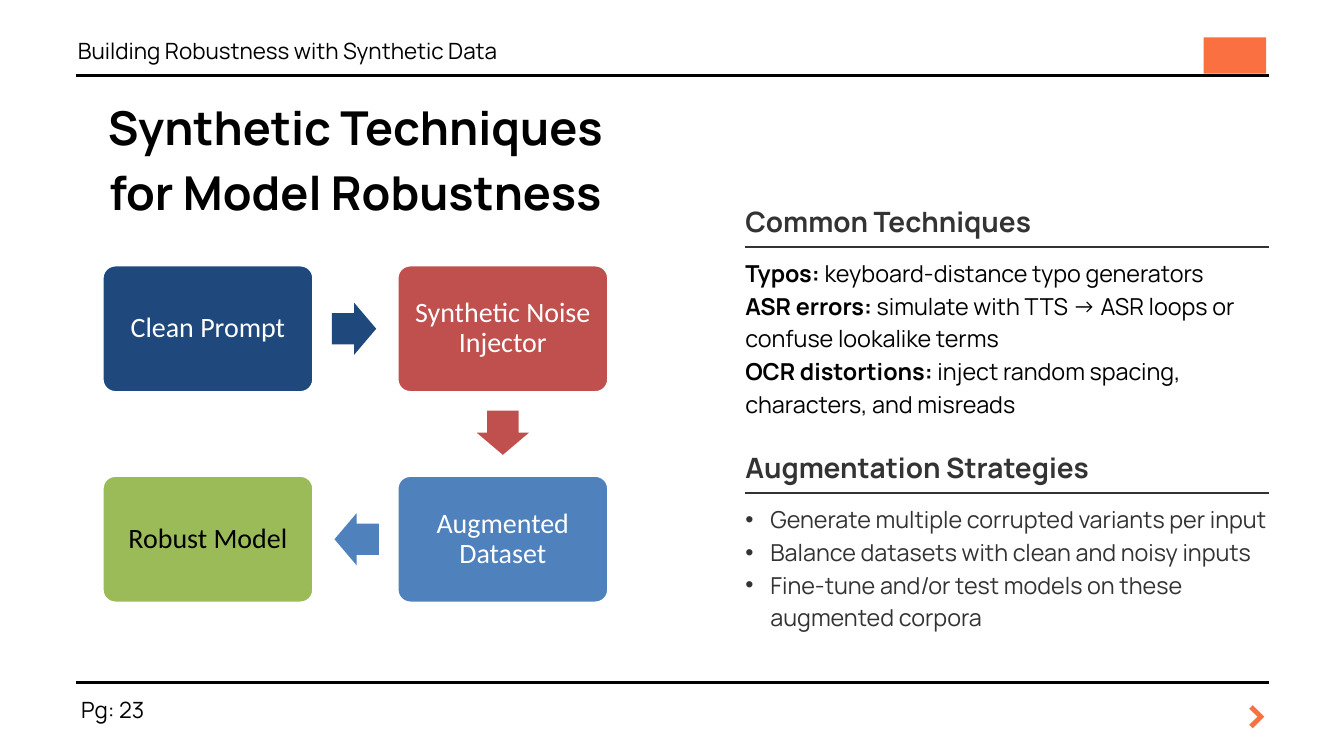
from lxml import etree
from pptx import Presentation
from pptx.dml.color import RGBColor
from pptx.enum.shapes import MSO_CONNECTOR, MSO_SHAPE
from pptx.enum.text import MSO_ANCHOR, MSO_AUTO_SIZE, PP_ALIGN
from pptx.oxml.ns import qn
from pptx.util import Pt

LEFT, CENTER, JUSTIFY = PP_ALIGN.LEFT, PP_ALIGN.CENTER, PP_ALIGN.JUSTIFY
TOP, MIDDLE = MSO_ANCHOR.TOP, MSO_ANCHOR.MIDDLE
NO_AUTOFIT = MSO_AUTO_SIZE.NONE
STRAIGHT = MSO_CONNECTOR.STRAIGHT
RECTANGLE = MSO_SHAPE.RECTANGLE
ROUNDED = MSO_SHAPE.ROUNDED_RECTANGLE
ARROW = MSO_SHAPE.RIGHT_ARROW

BLACK, WHITE, CHARCOAL, ORANGE = "000000", "FFFFFF", "333333", "FA7040"
NAVY, RED, BLUE, GREEN = "1F497D", "C0504D", "4F81BD", "9BBB59"
COMPARISON_LAYOUT = 4

TECHNIQUES = [
    [("Typos:", True), (" keyboard-distance typo generators", False)],
    [("ASR errors:", True),
     (" simulate with TTS → ASR loops or confuse lookalike terms", False)],
    [("OCR distortions:", True),
     (" inject random spacing, characters, and misreads", False)],
]
STRATEGIES = [
    "Generate multiple corrupted variants per input",
    "Balance datasets with clean and noisy inputs",
    "Fine-tune and/or test models on these augmented corpora",
]
# Label, column, row, fill, text colour, in order of flow
STEPS = [
    ("Clean Prompt", 0, 0, NAVY, WHITE),
    ("Synthetic Noise Injector", 1, 0, RED, WHITE),
    ("Augmented Dataset", 1, 1, BLUE, WHITE),
    ("Robust Model", 0, 1, GREEN, BLACK),
]


def rgb(value):
    return RGBColor.from_string(value)


def place(shape, left, top, width, height):
    shape.left, shape.top = Pt(left), Pt(top)
    shape.width, shape.height = Pt(width), Pt(height)


def set_bullet(paragraph, bullet, indent):
    props = paragraph._p.get_or_add_pPr()
    props.set("marL", str(Pt(indent)))
    props.set("indent", str(-Pt(indent)))
    if bullet:
        etree.SubElement(props, qn("a:buChar")).set("char", bullet)
    else:
        etree.SubElement(props, qn("a:buNone"))


def write_text(shape, paragraphs, size, spacing, color=BLACK, bold=False,
               font="Manrope", align=LEFT, anchor=TOP, inset=0, bullet=None,
               indent=0):
    """Fill a shape; each paragraph is a string or a list of (text, bold) runs."""
    frame = shape.text_frame
    frame.word_wrap = True
    frame.auto_size = NO_AUTOFIT
    frame.vertical_anchor = anchor
    frame.margin_left = frame.margin_right = Pt(inset)
    frame.margin_top = frame.margin_bottom = Pt(inset)
    for number, content in enumerate(paragraphs):
        paragraph = frame.add_paragraph() if number else frame.paragraphs[0]
        paragraph.alignment = align
        paragraph.line_spacing = spacing
        paragraph.space_before = paragraph.space_after = Pt(0)
        set_bullet(paragraph, bullet, indent)
        runs = [(content, bold)] if isinstance(content, str) else content
        for text, is_bold in runs:
            run = paragraph.add_run()
            run.text = text
            run.font.name = font
            run.font.size = Pt(size)
            run.font.bold = is_bold
            run.font.color.rgb = rgb(color)


def add_label(slide, box, text, **style):
    label = slide.shapes.add_textbox(*map(Pt, box))
    write_text(label, [text], **style)


def add_rule(slide, left, top, width, color, weight):
    rule = slide.shapes.add_connector(
        STRAIGHT, Pt(left), Pt(top), Pt(left + width), Pt(top))
    rule.line.color.rgb = rgb(color)
    rule.line.width = Pt(weight)
    etree.SubElement(rule._element.spPr, qn("a:effectLst"))


def add_solid(slide, preset, box, fill):
    solid = slide.shapes.add_shape(preset, *map(Pt, box))
    solid.shadow.inherit = False
    solid.fill.solid()
    solid.fill.fore_color.rgb = rgb(fill)
    solid.line.fill.background()
    return solid


def add_header(slide, left, top, width):
    add_label(slide, (left + 2.5, top, 1203, 32), "Building Robustness with Synthetic Data",
              size=24, spacing=Pt(33.6))
    add_solid(slide, RECTANGLE, (left + width - 70, top + 5, 67, 39), ORANGE)
    add_rule(slide, left, top + 46, width, BLACK, 3)


def add_footer(slide, left, top, width):
    add_rule(slide, left, top, width, BLACK, 3)
    add_label(slide, (left + 6, top + 9.5, 82, 32), "Pg: 23", size=24, spacing=Pt(33.6))
    add_label(slide, (left + width - 30.5, top - 8.5, 30, 71), ">", size=52,
              spacing=Pt(72.8), color="F97141", bold=True, align=CENTER)


def fill_section(slide, heading, body, title, items, left, top, width, height, **style):
    """Heading placeholder, rule and list placeholder, stacked."""
    place(heading, left, top, width, 40)
    write_text(heading, [title], size=30, spacing=Pt(42), color=CHARCOAL,
               bold=True, align=JUSTIFY)
    add_rule(slide, left, top + 51.5, width, CHARCOAL, 2.25)
    place(body, left, top + 59.5, width, height - 59.5)
    write_text(body, items, size=25, spacing=Pt(35), **style)


def add_flow(slide, left, top, width, height):
    """Four steps around a two-by-two grid, joined by arrows."""
    step_w, step_h = 225.5, 135.5
    pitch_x, pitch_y = width - step_w, height - step_h
    arrow_w, arrow_h, setback = 47.5, 56, 1.4

    for label, column, row, fill, color in STEPS:
        box = (left + column * pitch_x, top + row * pitch_y, step_w, step_h)
        step = add_solid(slide, ROUNDED, box, fill)
        step.adjustments[0] = 0.1
        step.line.color.rgb = rgb(WHITE)
        step.line.width = Pt(2)
        write_text(step, [label], size=30, spacing=0.9, color=color,
                   font="Calibri", align=CENTER, anchor=MIDDLE, inset=8.5)

    turns = {(1, 0): 0, (0, 1): 90, (-1, 0): 180}
    for (_, col, row, fill, _), (_, next_col, next_row, _, _) in zip(STEPS, STEPS[1:]):
        heading = (next_col - col, next_row - row)
        center_x = left + step_w / 2 + (col + next_col) / 2 * pitch_x - setback * heading[0]
        center_y = top + step_h / 2 + (row + next_row) / 2 * pitch_y - setback * heading[1]
        arrow = add_solid(slide, ARROW, (center_x - arrow_w / 2, center_y - arrow_h / 2,
                                         arrow_w, arrow_h), fill)
        arrow.adjustments[0], arrow.adjustments[1] = 0.6, 0.5
        arrow.rotation = turns[heading]


def main():
    deck = Presentation()
    deck.slide_width, deck.slide_height = Pt(1440), Pt(810)
    slide = deck.slides.add_slide(deck.slide_layouts[COMPARISON_LAYOUT])
    title, *sections = slide.placeholders
    techniques_heading, techniques, strategies_heading, strategies = sections

    add_header(slide, 81, 35, 1278.5)
    place(title, 81, 96, 600, 136)
    write_text(title, ["Synthetic Techniques for Model Robustness"], size=50,
               spacing=Pt(70), bold=True, align=CENTER)
    add_flow(slide, 110, 284.5, 541.5, 361)
    fill_section(slide, techniques_heading, techniques, "Common Techniques",
                 TECHNIQUES, 798.5, 213, 561, 234)
    fill_section(slide, strategies_heading, strategies, "Augmentation Strategies",
                 STRATEGIES, 798.5, 477, 561, 199, color=CHARCOAL, bullet="•", indent=27)
    add_footer(slide, 81, 731, 1278.5)
    deck.save("out.pptx")


if __name__ == "__main__":
    main()
